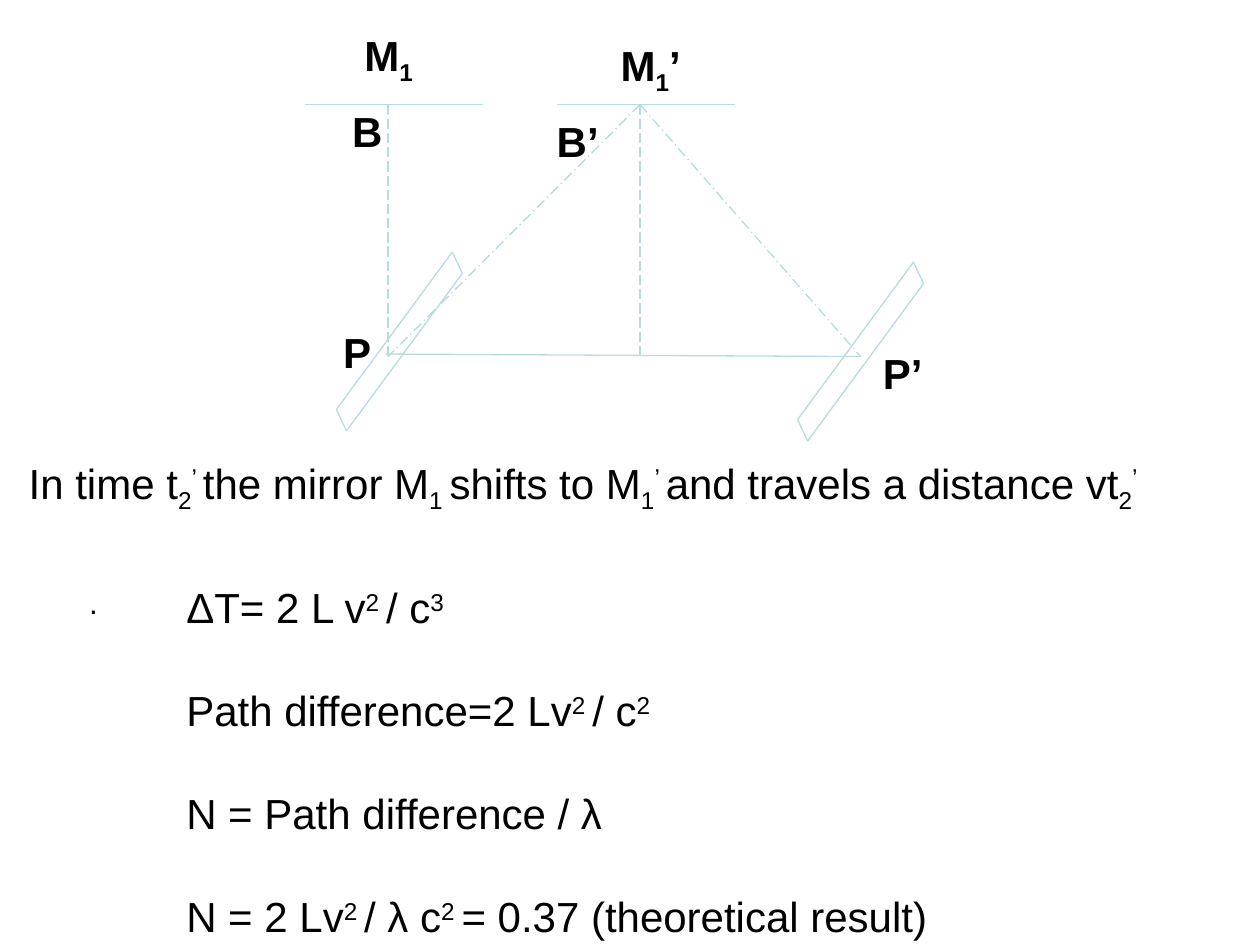
from itertools import pairwise

from pptx import Presentation
from pptx.dml.color import RGBColor
from pptx.enum.dml import MSO_LINE
from pptx.enum.shapes import MSO_CONNECTOR
from pptx.enum.text import MSO_ANCHOR, PP_ALIGN
from pptx.oxml.ns import qn
from pptx.util import Inches, Pt
from lxml.etree import SubElement

# Content: text pieces are (text, baseline shift in percent)
SUB, SUPER = -25, 30
SENTENCE = [
    ("In time t", 0), ("2", SUB), ("’ ", SUPER), ("the mirror M", 0), ("1 ", SUB),
    ("shifts to M", 0), ("1", SUB), ("’ ", SUPER),
    ("and travels a distance vt", 0), ("2", SUB), ("’", SUPER),
]
EQUATIONS = [
    [("ΔT= 2 L v", 0), ("2 ", SUPER), ("/ c", 0), ("3", SUPER)],
    [("Path difference=2 Lv", 0), ("2 ", SUPER), ("/ c", 0), ("2", SUPER)],
    [("N = Path difference / λ", 0)],
    [("N = 2 Lv", 0), ("2 ", SUPER), ("/ λ c", 0), ("2 ", SUPER),
     ("= 0.37 (theoretical result)", 0)],
]
# Point labels: left, top, width, pieces
LABELS = [
    (2.75, 0.17, 0.67, [("M", 0), ("1", SUB)]),
    (4.75, 0.25, 0.83, [("M", 0), ("1", SUB), ("’", 0)]),
    (2.5, 2.5, 0.67, [("P", 0)]),
    (2.58, 0.75, 0.67, [("B", 0)]),
    (6.83, 2.67, 0.67, [("P’", 0)]),
    (4.25, 0.83, 0.67, [("B’", 0)]),
]

# Geometry of the light paths
MIRROR_Y, BASE_Y = 0.83, 2.83
B, B_MOVED = (3.08, MIRROR_Y), (5.08, MIRROR_Y)
P, P_MOVED = (3.08, BASE_Y), (6.83, BASE_Y)
MIRROR_LEFTS, MIRROR_WIDTH = (2.42, 4.42), 1.41
PLATE_ORIGINS = [(2.67, 3.25), (6.33, 3.33)]
PLATE_CORNERS = [(0, 0), (0.92, -1.25), (1, -1.08), (0.08, 0.17), (0, 0)]
RAYS = [
    (B, P, MSO_LINE.LONG_DASH),
    (B_MOVED, (B_MOVED[0], BASE_Y), MSO_LINE.LONG_DASH),
    ((3.06, 2.81), P_MOVED, None),
    (B_MOVED, P_MOVED, MSO_LINE.LONG_DASH_DOT),
    (B_MOVED, P, MSO_LINE.LONG_DASH_DOT),
]


def color(value):
    return RGBColor.from_string(value)


def add_line(page, start, end, dash=None):
    line = page.shapes.add_connector(
        MSO_CONNECTOR.STRAIGHT, *(Inches(value) for value in (*start, *end)))
    line.line.color.rgb = color("B6DCDF")
    line.line.width = Pt(0.75)
    if dash:
        line.line.dash_style = dash
    SubElement(line._element.spPr, qn("a:effectLst"))


def add_text(page, area, paragraphs, size=24, bold=False, align=PP_ALIGN.LEFT,
             anchor=MSO_ANCHOR.TOP, gap=0, wrap=True):
    box = page.shapes.add_textbox(*(Inches(value) for value in area))
    frame = box.text_frame
    frame.word_wrap = wrap
    frame.vertical_anchor = anchor
    for index, pieces in enumerate(paragraphs):
        para = frame.add_paragraph() if index else frame.paragraphs[0]
        para.alignment = align
        para.space_before = Pt(gap if index else 0)
        for text, shift in pieces:
            span = para.add_run()
            span.text = text
            span.font.name = "Arial"
            span.font.size = Pt(size)
            span.font.bold = bold
            span.font.color.rgb = color("000000")
            if shift:
                span._r.get_or_add_rPr().set("baseline", str(shift * 1000))


def main():
    deck = Presentation()
    deck.slide_width, deck.slide_height = Inches(10), Inches(7.5)
    page = deck.slides.add_slide(deck.slide_layouts[6])

    # Glass plates, mirrors and rays
    for left, top in PLATE_ORIGINS:
        corners = [(left + dx, top + dy) for dx, dy in PLATE_CORNERS]
        for start, end in pairwise(corners):
            add_line(page, start, end)
    for left in MIRROR_LEFTS:
        add_line(page, (left, MIRROR_Y), (left + MIRROR_WIDTH, MIRROR_Y))
    for ray in RAYS:
        add_line(page, *ray)

    # Point labels
    for left, top, width, pieces in LABELS:
        add_text(page, (left, top, width, 0.58), [pieces], bold=True,
                 align=PP_ALIGN.CENTER, anchor=MSO_ANCHOR.MIDDLE)

    # Explanation and equations
    add_text(page, (0.13, 3.58, 9.8, 0.67), [SENTENCE])
    add_text(page, (0.61, 4.58, 5.3, 0.4), [[(".", 0)]], size=18)
    add_text(page, (1.38, 4.57, 6.19, 2.9), EQUATIONS, gap=30, wrap=False)

    deck.save("out.pptx")


if __name__ == "__main__":
    main()
